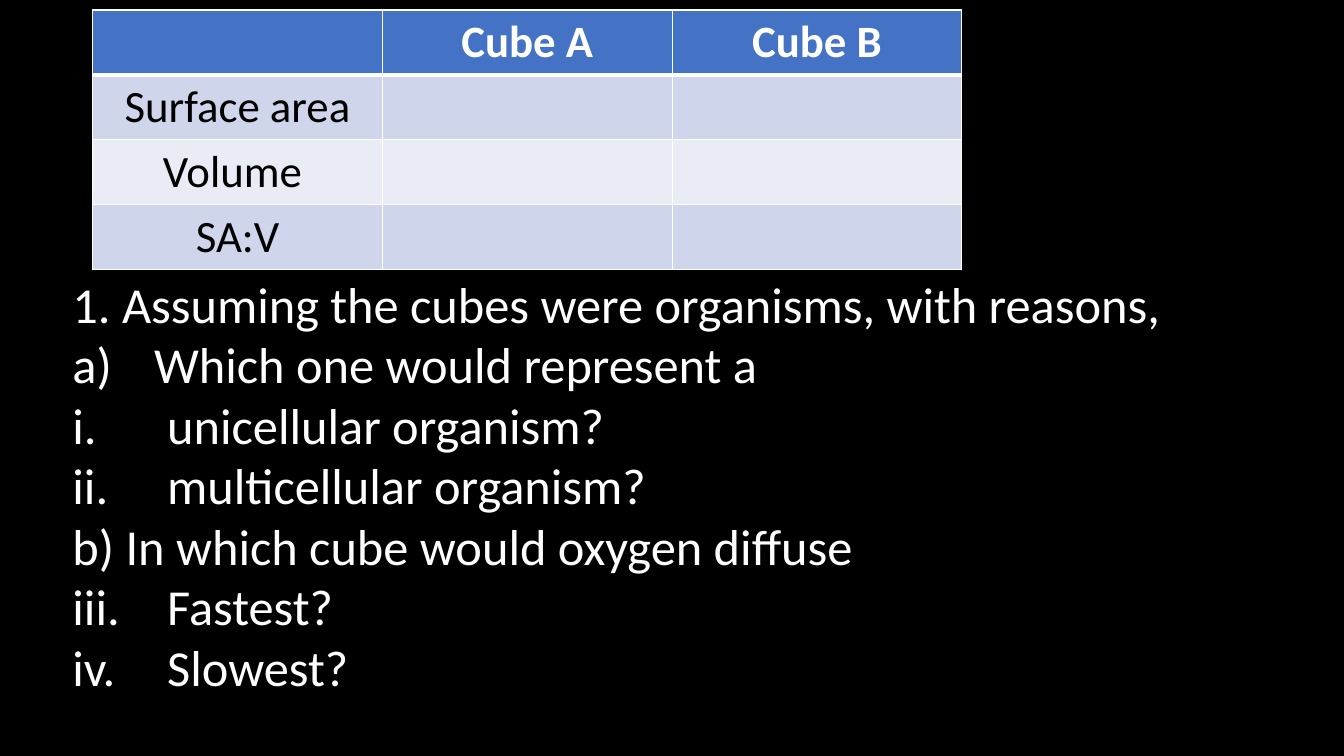
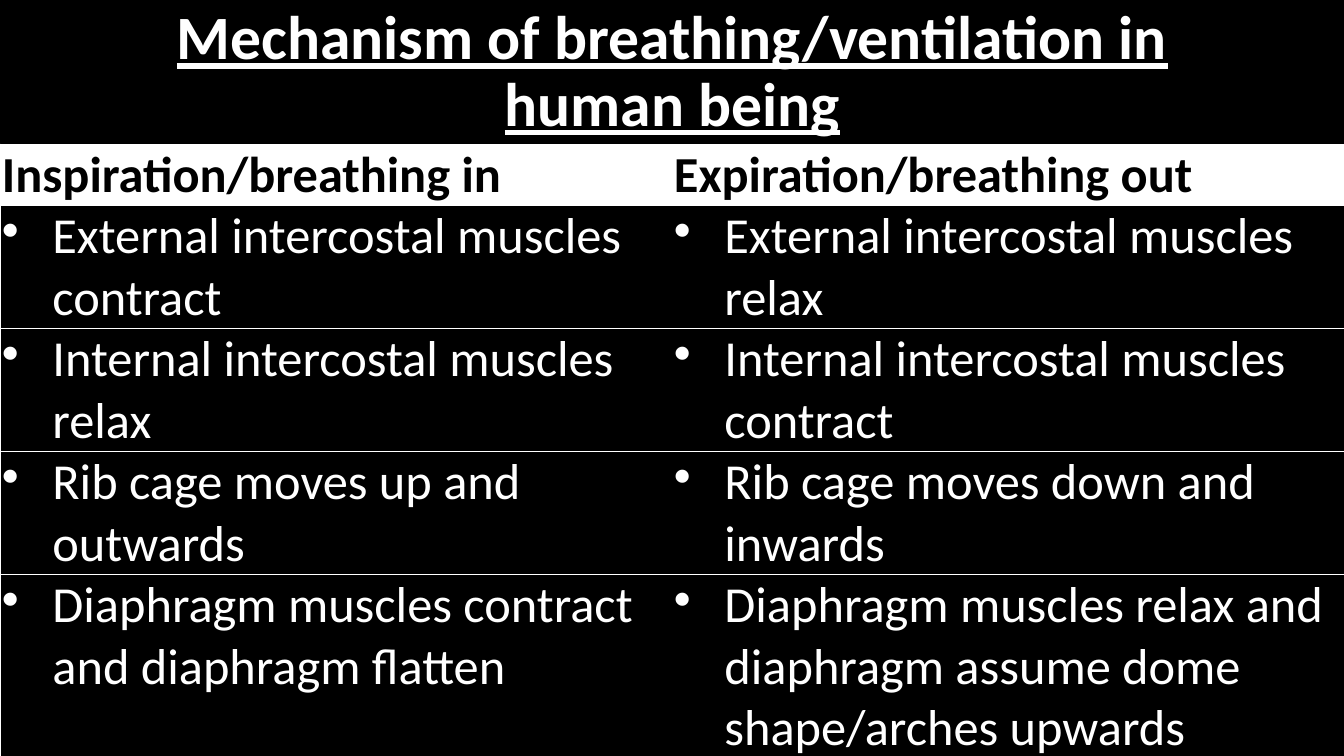
import pptx
import pptx.dml.color
import pptx.enum.text
import pptx.oxml
import pptx.oxml.ns
import pptx.util
from lxml import etree

Inches = pptx.util.Inches
Pt = pptx.util.Pt
RGBColor = pptx.dml.color.RGBColor
ALIGN = pptx.enum.text.PP_ALIGN
ANCHOR = pptx.enum.text.MSO_ANCHOR

BLACK = RGBColor(0x00, 0x00, 0x00)
WHITE = RGBColor(0xFF, 0xFF, 0xFF)
HEADER_BLUE = RGBColor(0x44, 0x72, 0xC4)
BAND_DARK = RGBColor(0xCF, 0xD5, 0xEA)
BAND_LIGHT = RGBColor(0xE9, 0xEB, 0xF5)

FONT = "Calibri"
SLIDE_WIDTH, SLIDE_HEIGHT = 13.33, 7.5
TITLE_STYLE = {"size": Pt(44), "bold": True, "underline": True}
BODY_STYLE = {"size": Pt(36), "bold": False}
HEADING_STYLE = {"size": Pt(36), "bold": True}
CUBE_STYLE = {"size": Pt(32), "bold": False}
CUBE_HEADING_STYLE = {"size": Pt(32), "bold": True}

CUBE_ROWS = [
    ["", "Cube A", "Cube B"],
    ["Surface area", "", ""],
    ["Volume ", "", ""],
    ["SA:V", "", ""],
]
LETTERED = ("alphaLcParenR", 0.81)
ROMAN = ("romanLcPeriod", 0.94)
QUESTIONS = [
    ("1. Assuming the cubes were organisms, with reasons,", None),
    ("Which one would represent a", LETTERED),
    ("unicellular organism?", ROMAN),
    ("multicellular organism?", ROMAN),
    ("b) In which cube would oxygen diffuse", None),
    ("Fastest?", ROMAN),
    ("Slowest?", ROMAN),
]
BREATHING_ROWS = [
    ["Inspiration/breathing in", "Expiration/breathing out"],
    ["External intercostal muscles contract", "External intercostal muscles relax"],
    ["Internal intercostal muscles relax", "Internal intercostal muscles contract"],
    ["Rib cage moves up and outwards", "Rib cage moves down and inwards"],
    ["Diaphragm muscles contract and diaphragm flatten",
     "Diaphragm muscles relax and diaphragm assume dome shape/arches upwards"],
]
BREATHING_LINES = [1, 2, 2, 2, 3]


def add_page(deck):
    page = deck.slides.add_slide(deck.slide_layouts[6])
    page.background.fill.solid()
    page.background.fill.fore_color.rgb = BLACK
    return page


def write(para, text, style, color):
    span = para.add_run()
    span.text = text
    span.font.name = FONT
    span.font.color.rgb = color
    for name, value in style.items():
        setattr(span.font, name, value)


def add_marker(para, indent, tag, **attributes):
    properties = para._p.get_or_add_pPr()
    properties.set("marL", str(Inches(indent)))
    properties.set("indent", str(-Inches(indent)))
    marker = etree.SubElement(properties, pptx.oxml.ns.qn("a:" + tag))
    for name, value in attributes.items():
        marker.set(name, value)


def set_borders(cell, widths):
    properties = cell._tc.get_or_add_tcPr()
    for position, side in enumerate("LRTB"):
        width = widths.get(side, 0)
        paint = f'<a:solidFill><a:srgbClr val="{WHITE}"/></a:solidFill>' if width else "<a:noFill/>"
        line = pptx.oxml.parse_xml(
            f'<a:ln{side} {pptx.oxml.ns.nsdecls("a")} w="{Pt(width)}">{paint}</a:ln{side}>')
        properties.insert(position, line)


def add_grid(page, box, rows, heights):
    left, top, width = box
    frame = page.shapes.add_table(len(rows), len(rows[0]), Inches(left), Inches(top),
                                  Inches(width), Inches(sum(heights)))
    for row, height in zip(frame.table.rows, heights):
        row.height = Inches(height)
    for row_index, texts in enumerate(rows):
        for column_index, text in enumerate(texts):
            yield row_index, column_index, text, frame.table.cell(row_index, column_index)


def add_text_area(page, box):
    area = page.shapes.add_textbox(*(Inches(length) for length in box)).text_frame
    area.word_wrap = True
    return area


def add_cube_table(page, box):
    for row, column, text, cell in add_grid(page, box, CUBE_ROWS, [0.64] * len(CUBE_ROWS)):
        heading = row == 0
        cell.fill.solid()
        cell.fill.fore_color.rgb = HEADER_BLUE if heading else (BAND_LIGHT, BAND_DARK)[row % 2]
        set_borders(cell, {"L": 1, "R": 1, "T": 3 if row == 1 else 1, "B": 3 if heading else 1})
        if text:
            para = cell.text_frame.paragraphs[0]
            para.alignment = ALIGN.CENTER
            write(para, text, CUBE_HEADING_STYLE if heading else CUBE_STYLE,
                  WHITE if heading else BLACK)


def add_questions(page, box):
    area = add_text_area(page, box)
    for index, (text, numbering) in enumerate(QUESTIONS):
        para = area.add_paragraph() if index else area.paragraphs[0]
        if numbering:
            scheme, indent = numbering
            add_marker(para, indent, "buAutoNum", type=scheme)
        write(para, text, BODY_STYLE, WHITE)


def add_title(page, box, text):
    area = add_text_area(page, box)
    area.vertical_anchor = ANCHOR.MIDDLE
    para = area.paragraphs[0]
    para.alignment = ALIGN.CENTER
    para.line_spacing = 0.9
    write(para, text, TITLE_STYLE, WHITE)


def add_breathing_table(page, box):
    heights = [0.61 * lines for lines in BREATHING_LINES]
    margins = {"margin_left": 0.02, "margin_right": 0.02, "margin_top": 0, "margin_bottom": 0}
    for row, column, text, cell in add_grid(page, box, BREATHING_ROWS, heights):
        heading = row == 0
        cell.fill.solid()
        cell.fill.fore_color.rgb = WHITE if heading else BLACK
        set_borders(cell, {"T": 0.79, "B": 0.79, "RL"[column == 0]: 0.79})
        for name, value in margins.items():
            setattr(cell, name, Inches(value))
        para = cell.text_frame.paragraphs[0]
        para.space_after = Pt(10)
        if not heading:
            add_marker(para, 0.5, "buChar", char="•")
        write(para, text, HEADING_STYLE if heading else BODY_STYLE, BLACK if heading else WHITE)


def main():
    deck = pptx.Presentation()
    deck.slide_width = Inches(SLIDE_WIDTH)
    deck.slide_height = Inches(SLIDE_HEIGHT)

    cubes = add_page(deck)
    add_cube_table(cubes, (0.92, 0.1, 8.62))
    add_questions(cubes, (0.62, 2.66, 12.25, 4.4))

    breathing = add_page(deck)
    add_title(breathing, (0.92, 0, 11.5, 1.45), "Mechanism of breathing/ventilation in human being")
    add_breathing_table(breathing, (0, 1.43, SLIDE_WIDTH))

    deck.save("out.pptx")


if __name__ == "__main__":
    main()
